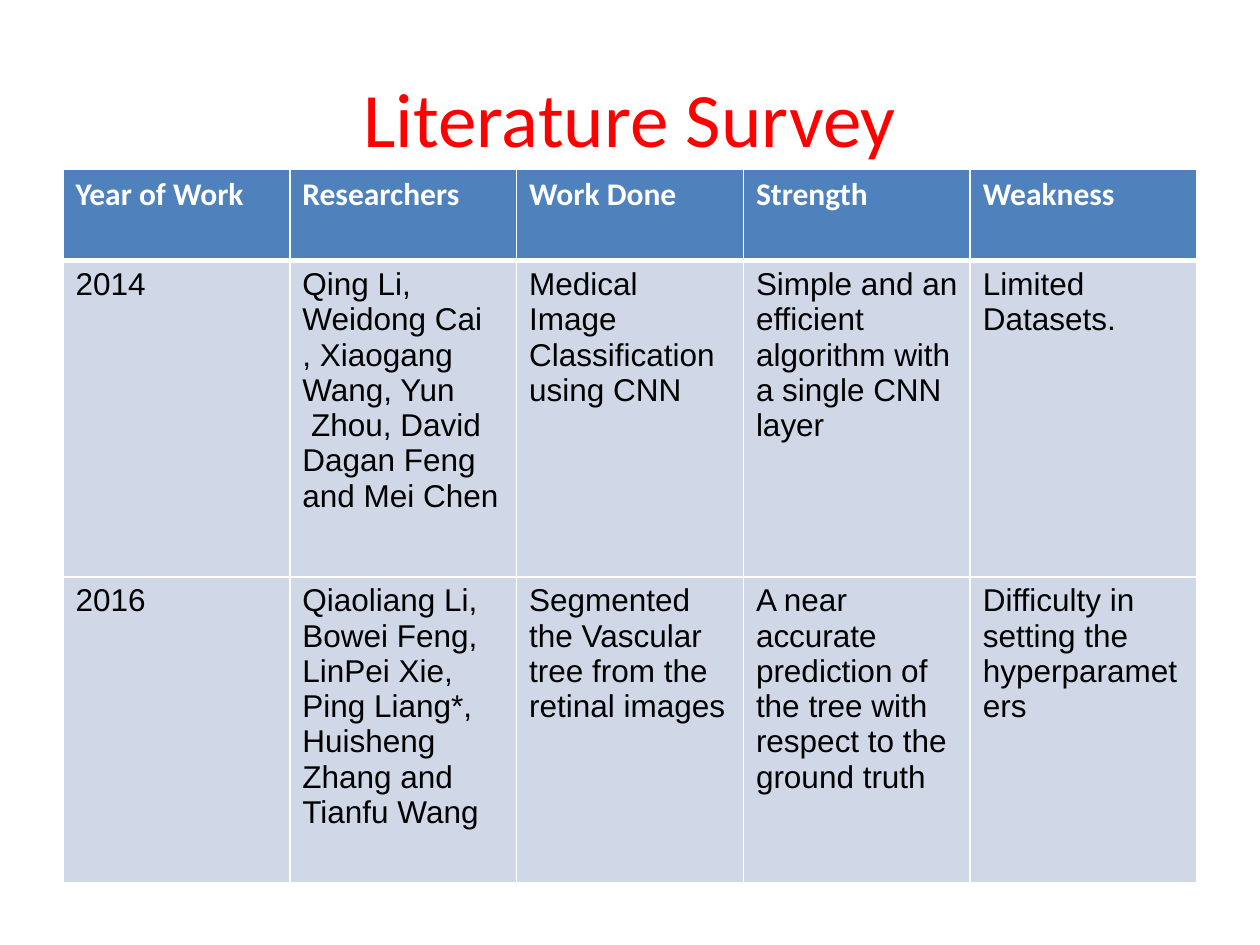
from dataclasses import dataclass

from lxml.etree import SubElement
from pptx import Presentation
from pptx.dml.color import RGBColor
from pptx.enum.text import MSO_ANCHOR, PP_ALIGN
from pptx.oxml.ns import qn
from pptx.util import Pt

TITLE_ONLY = 5
COLUMN_WIDTH = 129.6
ROW_HEIGHTS = (52.5, 180.75, 175)
THIN, THICK = 0.96, 3
WHITE = "FFFFFF"


@dataclass(frozen=True)
class TextStyle:
    font: str
    size: float
    color: str
    bold: bool = False


@dataclass(frozen=True)
class CellStyle:
    text: TextStyle
    fill: str
    bottom_border: float = THIN
    top_border: float = THIN


TITLE = TextStyle("Calibri", 44, "FF0000")
HEADER = CellStyle(TextStyle("Calibri", 18, WHITE, True), "4F81BD", bottom_border=THICK)
FIRST_STUDY = CellStyle(TextStyle("Arial", 18, "000000"), "D0D8E7", top_border=THICK)
STUDY = CellStyle(FIRST_STUDY.text, FIRST_STUDY.fill)
ROW_STYLES = (HEADER, FIRST_STUDY, STUDY)

SURVEY = (
    ("Year of Work", "Researchers", "Work Done", "Strength", "Weakness"),
    (
        "2014",
        "Qing Li, Weidong Cai\n, Xiaogang Wang, Yun\n Zhou, David Dagan Feng and Mei Chen",
        "Medical Image Classification using CNN",
        "Simple and an efficient algorithm with a single CNN layer",
        "Limited Datasets.",
    ),
    (
        "2016",
        "Qiaoliang Li, Bowei Feng, LinPei Xie, Ping Liang*, Huisheng Zhang and Tianfu Wang",
        "Segmented the Vascular tree from the retinal images",
        "A near accurate prediction of the tree with respect to the ground truth",
        "Difficulty in setting the hyperparameters",
    ),
)


def rgb(value: str) -> RGBColor:
    return RGBColor.from_string(value)


def write_text(frame, text: str, style: TextStyle, align=PP_ALIGN.LEFT) -> None:
    frame.text = text
    for para in frame.paragraphs:
        para.alignment = align
        for span in para.runs:
            span.font.name = style.font
            span.font.size = Pt(style.size)
            span.font.bold = style.bold
            span.font.color.rgb = rgb(style.color)


def add_borders(cell, style: CellStyle) -> None:
    """Draw white borders; must run before the fill is set, as the schema orders them."""
    properties = cell._tc.get_or_add_tcPr()
    widths = {"L": THIN, "R": THIN, "T": style.top_border, "B": style.bottom_border}
    for side, width in widths.items():
        line = SubElement(properties, qn(f"a:ln{side}"), w=str(Pt(width)))
        solid = SubElement(line, qn("a:solidFill"))
        SubElement(solid, qn("a:srgbClr"), val=WHITE)


def add_title(page, text: str) -> None:
    title = page.shapes.title
    title.left, title.top, title.width, title.height = Pt(36), Pt(21.6), Pt(648), Pt(90)
    title.text_frame.vertical_anchor = MSO_ANCHOR.MIDDLE
    write_text(title.text_frame, text, TITLE, PP_ALIGN.CENTER)


def add_survey_table(page) -> None:
    column_count = len(SURVEY[0])
    table = page.shapes.add_table(
        len(SURVEY), column_count, Pt(36), Pt(96.5),
        Pt(COLUMN_WIDTH * column_count), Pt(sum(ROW_HEIGHTS)),
    ).table
    for column in table.columns:
        column.width = Pt(COLUMN_WIDTH)
    for row, height, texts, style in zip(table.rows, ROW_HEIGHTS, SURVEY, ROW_STYLES):
        row.height = Pt(height)
        for cell, text in zip(row.cells, texts):
            write_text(cell.text_frame, text, style.text)
            add_borders(cell, style)
            cell.fill.solid()
            cell.fill.fore_color.rgb = rgb(style.fill)


def main() -> None:
    deck = Presentation()
    deck.slide_width, deck.slide_height = Pt(720), Pt(540)
    page = deck.slides.add_slide(deck.slide_layouts[TITLE_ONLY])
    add_title(page, "Literature Survey")
    add_survey_table(page)
    deck.save("out.pptx")


if __name__ == "__main__":
    main()
